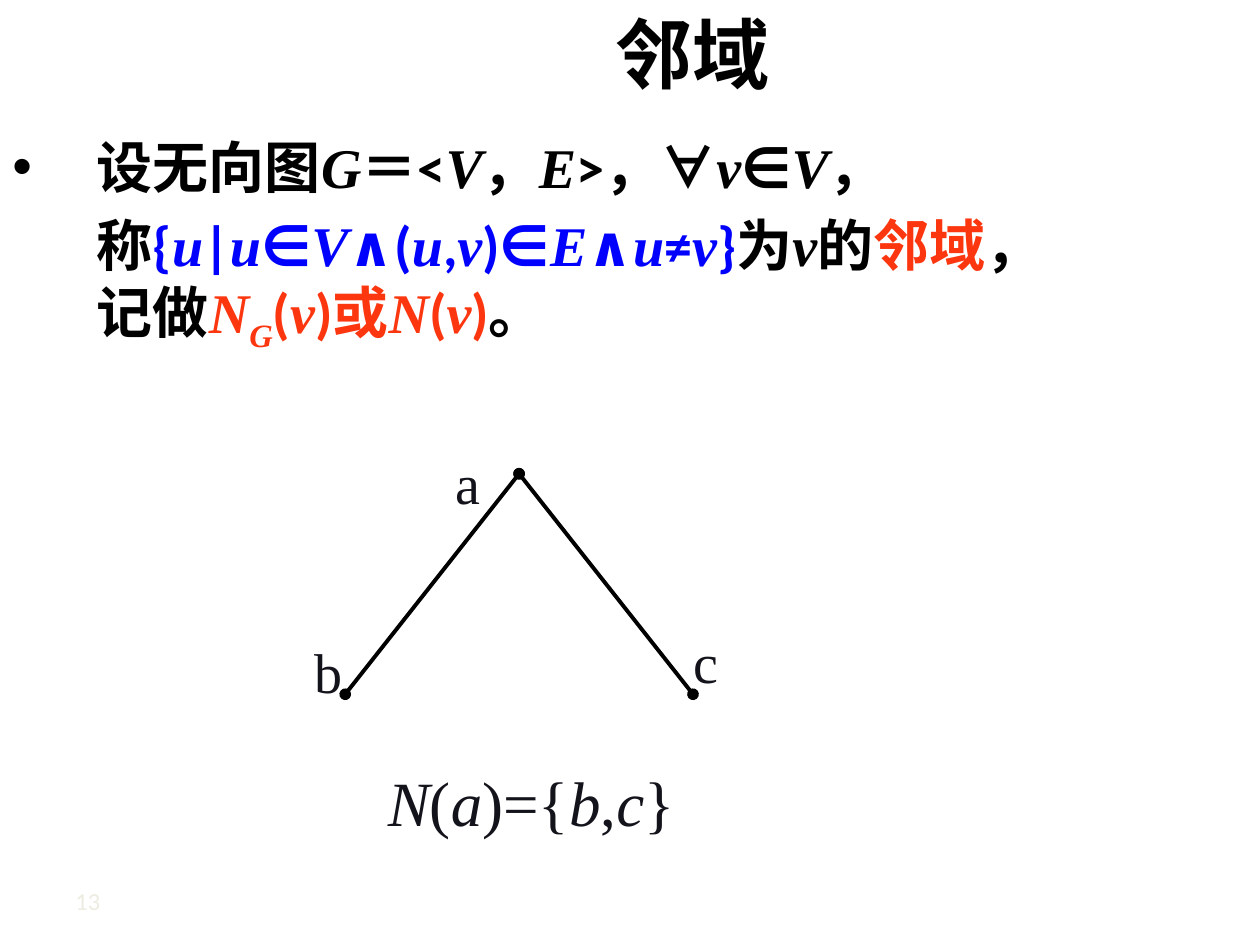
from itertools import groupby

from lxml import etree
from pptx import Presentation
from pptx.dml.color import RGBColor
from pptx.enum.shapes import MSO_CONNECTOR
from pptx.enum.text import MSO_ANCHOR, PP_ALIGN
from pptx.oxml.ns import qn
from pptx.util import Inches, Pt

STRAIGHT = MSO_CONNECTOR.STRAIGHT
MIDDLE = MSO_ANCHOR.MIDDLE
CENTER = PP_ALIGN.CENTER
TITLE_ONLY = 5

COLORS = {"black": "000000", "blue": "0000FF", "red": "FC360E",
          "ink": "13131B", "pale": "EEECE1"}
SANS, SERIF = "Calibri", "Times New Roman"


def is_variable(ch):
    return ch.isascii() and ch.isalpha()


class SlideBuilder:
    def __init__(self, prs):
        self.s = prs.slides.add_slide(prs.slide_layouts[TITLE_ONLY])

    def run(self, p, text, color="black", **fmt):
        r = p.add_run()
        r.text = text
        for name, value in fmt.items():
            setattr(r.font, name, value)
        r.font.color.rgb = RGBColor.from_string(COLORS[color])
        return r

    def math(self, p, text, color="black", font=SANS, **fmt):
        """Write text with its Latin letters as italic serif variables."""
        for variable, chars in groupby(text, is_variable):
            self.run(p, "".join(chars), color, italic=variable,
                     name=SERIF if variable else font, **fmt)

    def title(self, text, box):
        sp = self.s.shapes.title
        sp.left, sp.top, sp.width, sp.height = map(Inches, box)
        tf = sp.text_frame
        tf.vertical_anchor = MIDDLE
        p = tf.paragraphs[0]
        p.alignment = CENTER
        self.run(p, text, name=SANS, size=Pt(44), bold=True)

    def text_box(self, box):
        tf = self.s.shapes.add_textbox(*map(Inches, box)).text_frame
        tf.word_wrap = True
        return tf

    def label(self, text, box, **fmt):
        self.run(self.text_box(box).paragraphs[0], text, **fmt)

    def hang(self, p, bullet=None):
        p.space_before = Pt(6.4)
        pPr = p._p.get_or_add_pPr()
        pPr.set("marL", str(Inches(0.67)))
        pPr.set("indent", str(-Inches(0.67)))
        if bullet:
            etree.SubElement(pPr, qn("a:buFont")).set("typeface", "Arial")
            etree.SubElement(pPr, qn("a:buChar")).set("char", bullet)
        else:
            etree.SubElement(pPr, qn("a:buNone"))

    def edge(self, start, end):
        line = self.s.shapes.add_connector(STRAIGHT, *map(Inches, start + end))
        line.line.color.rgb = RGBColor.from_string(COLORS["black"])
        line.line.width = Pt(2.25)
        ln = line.line._get_or_add_ln()
        for tag in ("a:headEnd", "a:tailEnd"):
            etree.SubElement(ln, qn(tag)).set("type", "oval")
        etree.SubElement(line._element.spPr, qn("a:effectLst"))


def main():
    prs = Presentation()
    prs.slide_width, prs.slide_height = Inches(10), Inches(7.5)
    b = SlideBuilder(prs)

    b.title("邻域", (1, 0, 9, 0.83))

    # Definition
    body = {"size": Pt(32), "bold": True}
    tf = b.text_box((0, 1, 10, 1.82))
    p = tf.paragraphs[0]
    b.hang(p, "•")
    b.math(p, "设无向图G＝<V，E>，∀v∈V，", **body)

    p = tf.add_paragraph()
    b.hang(p)
    for text, color in (("\t称", "black"), ("{u|u∈V∧(u,v)∈E∧u≠v}", "blue"),
                        ("为v的", "black"), ("邻域", "red"), ("，", "black")):
        b.math(p, text, color, **body)
    p.add_line_break()
    b.math(p, "记做", **body)
    b.math(p, "N", "red", **body)
    sub = b.run(p, "G", "red", name=SERIF, italic=True, **body)
    sub.font._element.set("baseline", "-25000")
    b.math(p, "(v)或N(v)", "red", **body)
    b.math(p, "。", **body)

    # Example graph
    apex = (4.12, 3.76)
    for foot in ((2.74, 5.51), (5.5, 5.51)):
        b.edge(apex, foot)
    for name, left, top in (("a", 3.52, 3.51), ("b", 2.4, 5.01), ("c", 5.41, 4.93)):
        b.label(name, (left, top, 0.43, 0.63), color="ink", name=SERIF, size=Pt(32))

    # Neighbourhood of a
    p = b.text_box((2.98, 6.01, 2.58, 0.7)).paragraphs[0]
    b.math(p, "N(a)={b,c}", "ink", font=SERIF, size=Pt(36))

    # Slide number
    b.label("13", (0.5, 6.98, 1, 0.35), color="pale", name=SANS, size=Pt(14))

    prs.save("out.pptx")


if __name__ == "__main__":
    main()
